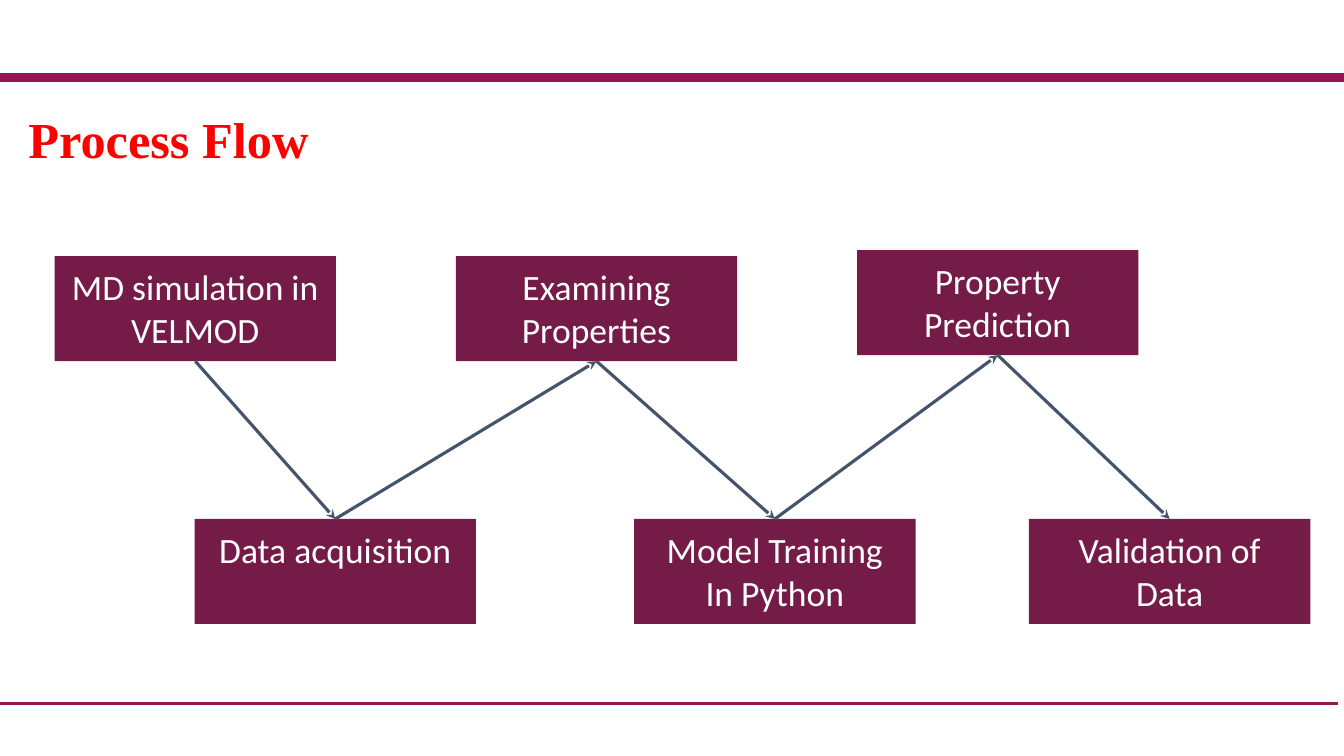
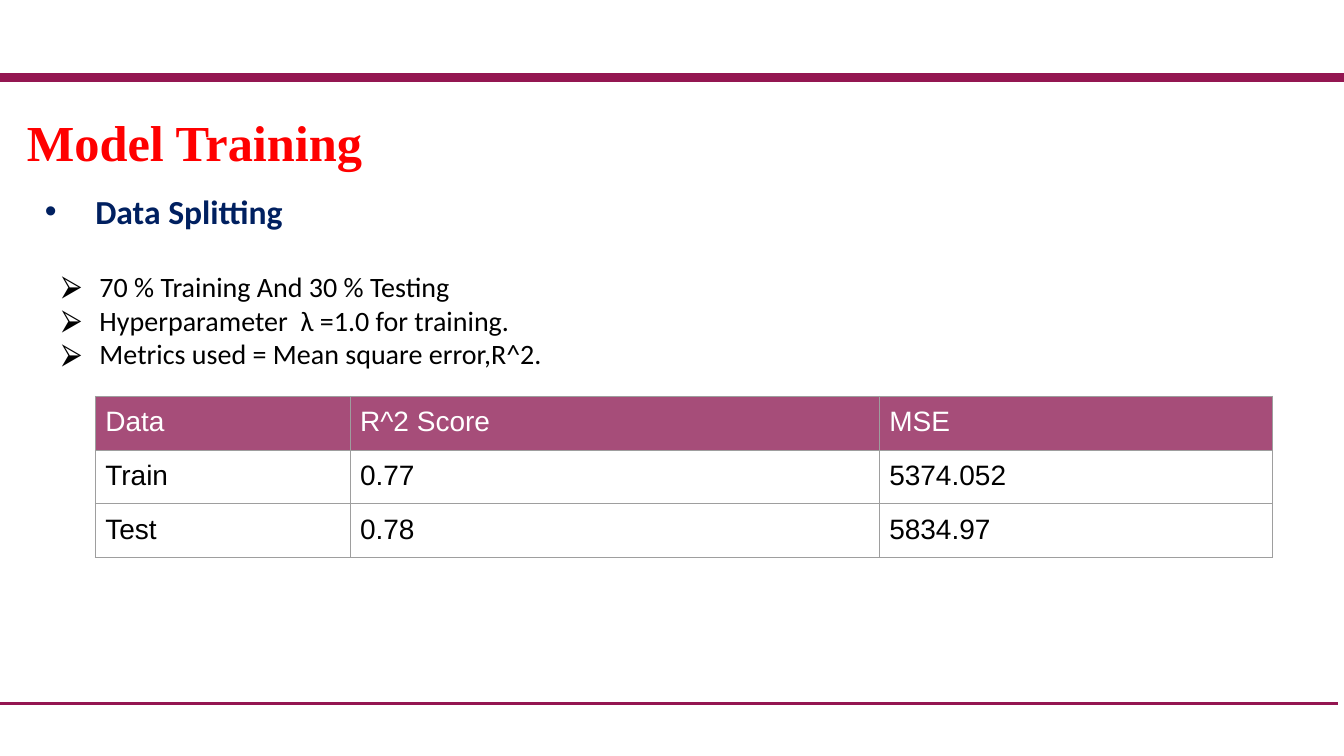
from dataclasses import dataclass
from itertools import pairwise
from typing import NamedTuple

from lxml.etree import SubElement
from pptx import Presentation
from pptx.dml.color import RGBColor
from pptx.enum.shapes import MSO_CONNECTOR, MSO_SHAPE
from pptx.enum.text import MSO_ANCHOR, MSO_AUTO_SIZE, PP_ALIGN
from pptx.oxml.ns import qn
from pptx.util import Pt


class Box(NamedTuple):
    """Left, top, width and height in points."""
    x: float
    y: float
    w: float
    h: float

    def lengths(self):
        return [Pt(v) for v in self]


@dataclass(frozen=True)
class Theme:
    band: str = "941651"
    title: str = "FF0000"
    heading: str = "002060"
    step: str = "741B47"
    arrow: str = "44546A"
    header: str = "A64D79"
    grid: str = "9E9E9E"
    light: str = "FFFFFF"
    dark: str = "000000"
    title_font: str = "Times New Roman"
    body_font: str = "Calibri"
    table_font: str = "Arial"
    title_size: float = 36
    step_size: float = 25.4
    heading_size: float = 24
    body_size: float = 20


T = Theme()
SLIDE_W, SLIDE_H = 960, 540


def rgb(color):
    return RGBColor.from_string(color)


def add_run(p, text, font, size, color, bold=False):
    r = p.add_run()
    r.text = text
    r.font.name, r.font.size, r.font.bold = font, Pt(size), bold
    r.font.color.rgb = rgb(color)


def paragraphs(tf, count):
    return [tf.paragraphs[0]] + [tf.add_paragraph() for _ in range(count - 1)]


def add_line(s, start, end, color, width, arrow=False):
    line = s.shapes.add_connector(
        MSO_CONNECTOR.STRAIGHT, *(Pt(v) for v in (*start, *end)))
    line.line.color.rgb = rgb(color)
    line.line.width = Pt(width)
    if arrow:
        SubElement(line.line._get_or_add_ln(), qn("a:tailEnd"), type="stealth")
    SubElement(line.element.spPr, qn("a:effectLst"))
    return line


def add_layout_bands(s):
    """Draw the two bands and move them to the layout that all slides share."""
    tree = s.slide_layout.placeholders[0].element.getparent()
    bands = [(55.5, SLIDE_W, 6), (502.5, 956, 1.5)]
    for number, (y, right, width) in enumerate(bands, 20):
        band = add_line(s, (0, y), (right, y), T.band, width).element
        band.nvCxnSpPr.cNvPr.id = number
        tree.append(band)


def add_slide(prs, title, box):
    s = prs.slides.add_slide(prs.slide_layouts.get_by_name("Title Only"))
    sp = s.shapes.title
    sp.left, sp.top, sp.width, sp.height = box.lengths()
    tf = sp.text_frame
    tf.auto_size = MSO_AUTO_SIZE.NONE
    tf.vertical_anchor = MSO_ANCHOR.MIDDLE
    p = tf.paragraphs[0]
    p.alignment = PP_ALIGN.LEFT
    add_run(p, title, T.title_font, T.title_size, T.title, bold=True)
    return s


def add_step(s, box, lines):
    sp = s.shapes.add_shape(MSO_SHAPE.RECTANGLE, *box.lengths())
    sp.shadow.inherit = False
    sp.fill.solid()
    sp.fill.fore_color.rgb = rgb(T.step)
    sp.line.fill.background()
    tf = sp.text_frame
    tf.word_wrap = True
    tf.vertical_anchor = MSO_ANCHOR.TOP
    tf.margin_left = tf.margin_right = tf.margin_top = tf.margin_bottom = Pt(6.5)
    for p, text in zip(paragraphs(tf, len(lines)), lines):
        p.alignment = PP_ALIGN.CENTER
        add_run(p, text, T.body_font, T.step_size, T.light)
    return sp


def add_zigzag(s, box, steps):
    """Steps are (dx, dy, lines), alternating between upper and lower row."""
    bottom_site, top_site = 2, 0
    shapes = [add_step(s, Box(box.x + dx, box.y + dy, 201, 75), lines)
              for dx, dy, lines in steps]
    for i, (a, b) in enumerate(pairwise(shapes)):
        sites = (bottom_site, top_site) if i % 2 == 0 else (top_site, bottom_site)
        arrow = add_line(s, (0, 0), (1, 1), T.arrow, 2.25, arrow=True)
        arrow.begin_connect(a, sites[0])
        arrow.end_connect(b, sites[1])


def add_bullets(s, box, lines, char, indent, size, color, bold=False):
    tf = s.shapes.add_textbox(*box.lengths()).text_frame
    tf.word_wrap = True
    for p, text in zip(paragraphs(tf, len(lines)), lines):
        pPr = p._p.get_or_add_pPr()
        pPr.set("marL", str(Pt(indent)))
        pPr.set("indent", str(-Pt(indent)))
        SubElement(SubElement(pPr, qn("a:buClr")), qn("a:srgbClr"), val=color)
        SubElement(pPr, qn("a:buFont"), typeface=T.table_font)
        SubElement(pPr, qn("a:buChar"), char=char)
        add_run(p, text, T.body_font, size, color, bold)


def set_borders(cell, color, width):
    tcPr = cell._tc.get_or_add_tcPr()
    for i, side in enumerate(("lnL", "lnR", "lnT", "lnB")):
        ln = tcPr.makeelement(qn(f"a:{side}"), {"w": str(Pt(width))})
        SubElement(SubElement(ln, qn("a:solidFill")), qn("a:srgbClr"), val=color)
        tcPr.insert(i, ln)


def add_score_table(s, box, widths, rows):
    tbl = s.shapes.add_table(len(rows), len(widths), *box.lengths()).table
    tbl.first_row = tbl.horz_banding = False
    for col, width in zip(tbl.columns, widths):
        col.width = Pt(width)
    for i, values in enumerate(rows):
        tbl.rows[i].height = Pt(box.h / len(rows))
        for cell, text in zip(tbl.rows[i].cells, values):
            cell.margin_left = cell.margin_right = Pt(7.2)
            cell.margin_top = cell.margin_bottom = Pt(7.2)
            if i == 0:
                cell.fill.solid()
                cell.fill.fore_color.rgb = rgb(T.header)
            else:
                cell.fill.background()
            set_borders(cell, T.grid, 0.75)
            add_run(cell.text_frame.paragraphs[0], text, T.table_font,
                    T.body_size, T.dark if i else T.light)


def process_flow(prs):
    s = add_slide(prs, "Process Flow", Box(13, 73.5, 254, 51))
    add_layout_bands(s)
    pitch, low = 286.6, 192
    add_zigzag(s, Box(39, 178.7, 897, 267), [
        (0, 4.3, ["MD simulation in VELMOD"]),
        (100, low, ["Data acquisition"]),
        (pitch, 4.3, ["Examining Properties"]),
        (414, low, ["Model Training", "In Python"]),
        (2 * pitch, 0, ["Property Prediction"]),
        (696, low, ["Validation of", "Data"]),
    ])


def model_training(prs):
    s = add_slide(prs, "Model Training", Box(12, 75.5, 426, 51))
    add_bullets(s, Box(25, 132.5, 388, 36), ["Data Splitting"], "•", 36,
                T.heading_size, T.heading, bold=True)
    add_bullets(s, Box(37, 189, 366, 80), [
        "70 % Training And 30 % Testing",
        "Hyperparameter  λ =1.0 for training.",
        "Metrics used = Mean square error,R^2.",
    ], "⮚", 27, T.body_size, T.dark)
    add_score_table(s, Box(68, 283, 841, 115.2), [182, 378, 281], [
        ("Data", "R^2 Score", "MSE"),
        ("Train", "0.77", "5374.052"),
        ("Test", "0.78", "5834.97"),
    ])


def main():
    prs = Presentation()
    prs.slide_width, prs.slide_height = Pt(SLIDE_W), Pt(SLIDE_H)
    process_flow(prs)
    model_training(prs)
    prs.save("out.pptx")


if __name__ == "__main__":
    main()
